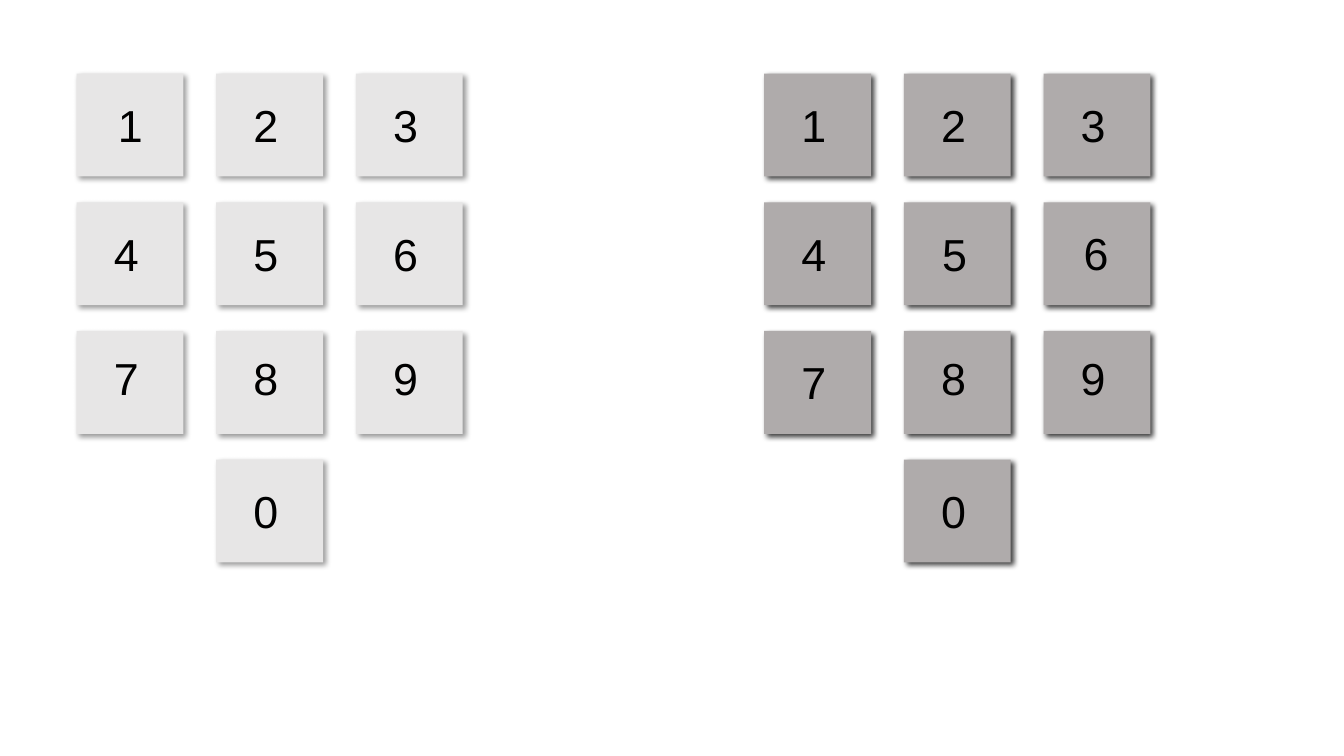
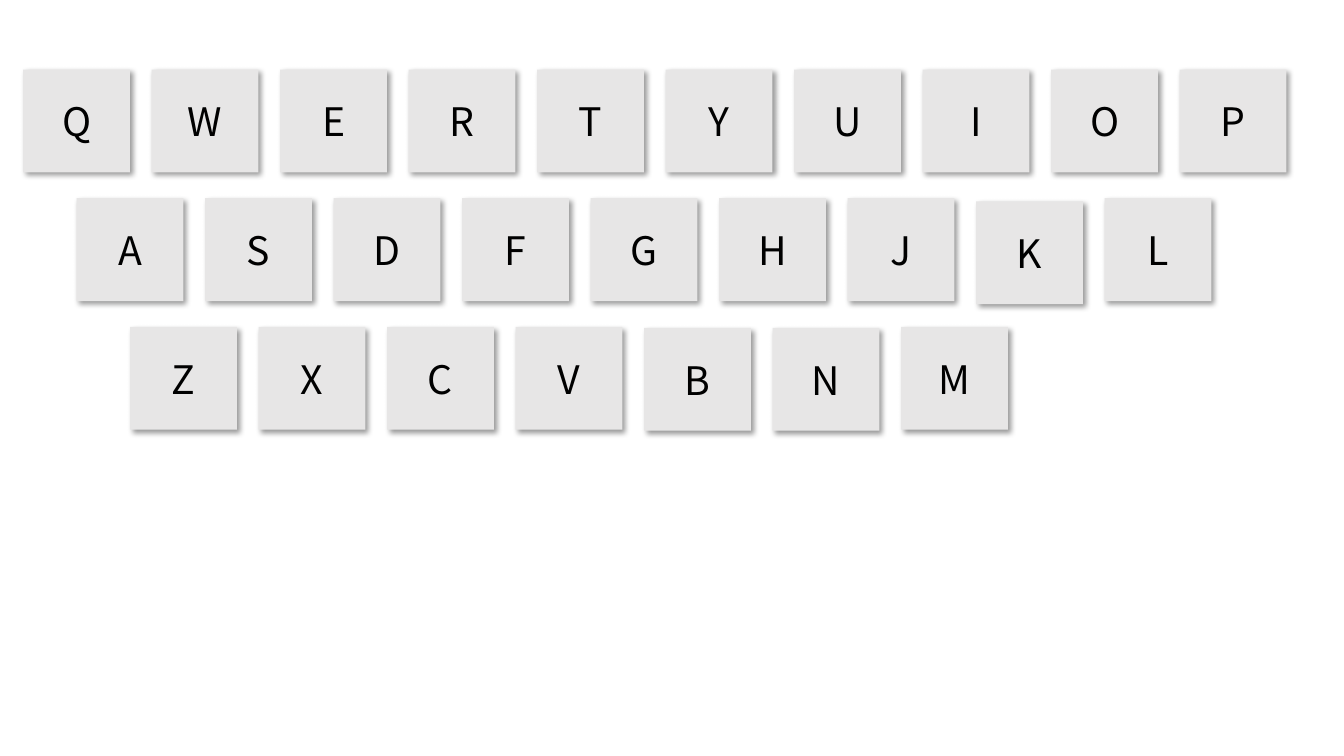
"""Build two slides of keyboard keys: number pads and a letter keyboard."""
from lxml.etree import SubElement
from pptx import Presentation
from pptx.dml.color import RGBColor
from pptx.enum.shapes import MSO_SHAPE
from pptx.enum.text import MSO_ANCHOR, MSO_AUTO_SIZE, PP_ALIGN
from pptx.oxml.ns import qn
from pptx.util import Inches, Pt

BLACK, LIGHT, DARK = "000000", "E7E6E6", "AFABAB"
KEY_W, KEY_H = 1.06, 1.02
ROW_STEP = 3.83 / 3

DIGIT_ROWS = [(0, "123"), (0, "456"), (0, "789"), (1, "0")]
DIGIT_STEP = 2.77 / 2
DIGIT_TOP = 0.73
LABEL_DX, LABEL_DY, LABEL_W, LABEL_H = 0.27, 0.19, 0.79, 0.64
PADS = [
    {"left": 0.76, "fill": LIGHT, "alpha": 40,
     "nudges": {"1": (0.04, 0), "7": (0, -0.04), "8": (0, -0.04), "9": (0, -0.04)}},
    {"left": 7.58, "fill": DARK, "alpha": 75,
     "nudges": {"5": (0.01, 0), "6": (0.03, -0.01), "8": (0, -0.04), "9": (0, -0.04)}},
]

LETTER_ROWS = ["QWERTYUIOP", "ASDFGHJKL", "ZXCVBNM"]
LETTER_STEP = 11.47 / 9
LETTER_LEFT, LETTER_TOP = 0.23, 0.69
LETTER_DROPS = {"K": 0.03, "B": 0.01, "N": 0.01}


def rgb(color):
    return RGBColor.from_string(color)


def add_shadow(shape, alpha):
    shape.shadow.inherit = False
    effects = shape._element.spPr.find(qn("a:effectLst"))
    shadow = SubElement(effects, qn("a:outerShdw"), blurRad=str(Pt(4)), dist=str(Pt(3)),
                        dir=str(45 * 60000), algn="tl", rotWithShape="0")
    color = SubElement(shadow, qn("a:srgbClr"), val=BLACK)
    SubElement(color, qn("a:alpha"), val=str(alpha * 1000))


def add_key(s, x, y, fill, alpha):
    key = s.shapes.add_shape(MSO_SHAPE.RECTANGLE, Inches(x), Inches(y),
                             Inches(KEY_W), Inches(KEY_H))
    key.fill.solid()
    key.fill.fore_color.rgb = rgb(fill)
    key.line.fill.background()
    add_shadow(key, alpha)
    return key


def write(sp, text, font, size, align):
    tf = sp.text_frame
    tf.word_wrap = True
    p = tf.paragraphs[0]
    p.alignment = align
    r = p.add_run()
    r.text = text
    r.font.name = font
    r.font.size = Pt(size)
    r.font.color.rgb = rgb(BLACK)


def add_label(s, text, x, y):
    label = s.shapes.add_textbox(Inches(x), Inches(y), Inches(LABEL_W), Inches(LABEL_H))
    write(label, text, "Arial", 32, PP_ALIGN.LEFT)
    label.text_frame.auto_size = MSO_AUTO_SIZE.SHAPE_TO_FIT_TEXT


def add_pad(s, left, fill, alpha, nudges):
    for row, (first, digits) in enumerate(DIGIT_ROWS):
        y = DIGIT_TOP + row * ROW_STEP
        for col, digit in enumerate(digits, first):
            x = left + col * DIGIT_STEP
            add_key(s, x, y, fill, alpha)
            dx, dy = nudges.get(digit, (0, 0))
            add_label(s, digit, x + LABEL_DX + dx, y + LABEL_DY + dy)


def add_keyboard(s):
    for row, letters in enumerate(LETTER_ROWS):
        for col, letter in enumerate(letters):
            x = LETTER_LEFT + row * KEY_W / 2 + col * LETTER_STEP
            y = LETTER_TOP + row * ROW_STEP + LETTER_DROPS.get(letter, 0)
            key = add_key(s, x, y, LIGHT, 40)
            write(key, letter, "Noto Sans CJK JP", 28, PP_ALIGN.CENTER)
            key.text_frame.vertical_anchor = MSO_ANCHOR.MIDDLE


def main():
    prs = Presentation()
    prs.slide_width, prs.slide_height = Inches(13.33), Inches(7.5)
    blank = prs.slide_layouts[6]
    s = prs.slides.add_slide(blank)
    for pad in PADS:
        add_pad(s, **pad)
    add_keyboard(prs.slides.add_slide(blank))
    prs.save("out.pptx")


if __name__ == "__main__":
    main()
